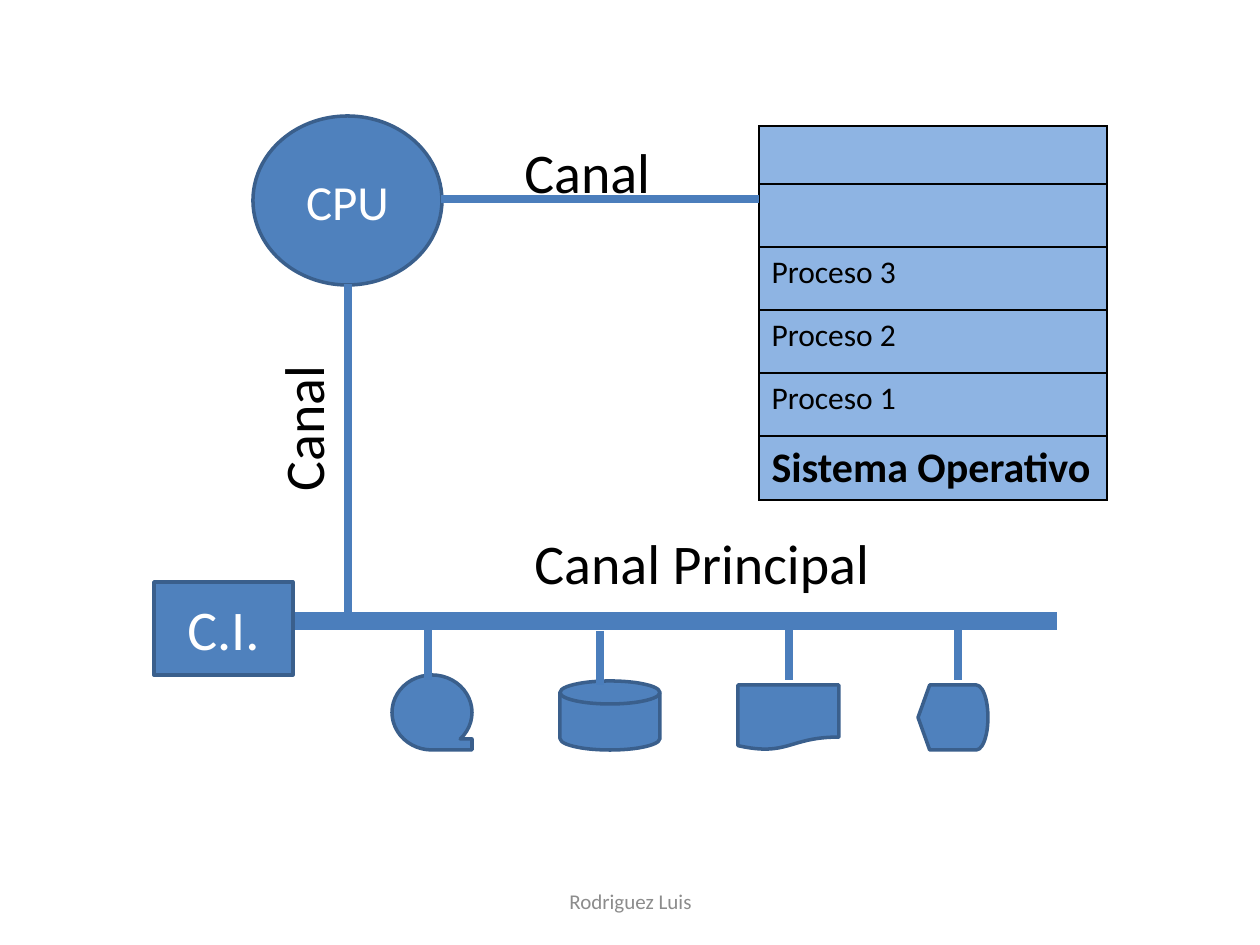
"""Builds the slide of a CPU, its memory and its peripherals joined by channels."""
from dataclasses import dataclass
from typing import NamedTuple

from lxml import etree
from pptx import Presentation
from pptx import util as u
from pptx.dml.color import RGBColor
from pptx.enum import shapes, text
from pptx.oxml.ns import qn

SCALE = u.Inches(1) / 126


@dataclass(frozen=True)
class Theme:
    font: str = "Calibri"
    node: str = "4F81BD"
    outline: str = "3A5F8C"
    channel: str = "4B7EBC"
    memory: str = "8EB4E3"
    ink: str = "000000"
    light: str = "FFFFFF"
    muted: str = "8C8C8C"
    label: int = 32
    cpu: int = 28
    system: int = 24
    process: int = 18
    footer: int = 12
    outline_width: int = 2
    link_width: int = 5
    bus_width: int = 10


class Box(NamedTuple):
    left: int
    top: int
    width: int
    height: int


@dataclass(frozen=True)
class Label:
    words: str
    box: Box
    rotation: int = 0


@dataclass(frozen=True)
class Peripheral:
    kind: shapes.MSO_SHAPE
    box: Box
    drop_x: int
    drop_top: int = 626


THEME = Theme()
DROP_HEIGHT = 54
MEMORY_BOX = Box(759, 126, 348, 373)
MEMORY_ROWS = ["", "", "Proceso 3", "Proceso 2", "Proceso 1", "Sistema Operativo"]
FIRST_ROW_HEIGHT = 58
ROW_HEIGHT = 63
LABELS = [
    Label("Canal", Box(512, 131, 179, 81)),
    Label("Canal", Box(213, 374, 179, 81), 270),
    Label("Canal Principal", Box(522, 522, 367, 81)),
]
PERIPHERALS = [
    Peripheral(shapes.MSO_SHAPE.FLOWCHART_SEQUENTIAL_ACCESS_STORAGE, Box(392, 675, 80, 75), 428),
    Peripheral(shapes.MSO_SHAPE.FLOWCHART_MAGNETIC_DISK, Box(560, 681, 100, 69), 600, 631),
    Peripheral(shapes.MSO_SHAPE.FLOWCHART_DOCUMENT, Box(738, 685, 101, 65), 789),
    Peripheral(shapes.MSO_SHAPE.FLOWCHART_DISPLAY, Box(918, 685, 70, 65), 958),
]


def px(length: int) -> u.Emu:
    """Turns pixels into EMU."""
    return u.Emu(round(length * SCALE))


def emu(box: Box) -> list[u.Emu]:
    """Turns a box into EMU lengths."""
    return [px(length) for length in box]


def write(frame, words: str, size: int, color: str, bold: bool = False, align=None) -> None:
    """Writes one formatted paragraph."""
    paragraph = frame.paragraphs[0]
    paragraph.text = words
    paragraph.alignment = align
    font = paragraph.font
    font.name, font.size, font.bold = THEME.font, u.Pt(size), bold
    font.color.rgb = RGBColor.from_string(color)


def add_node(slide, kind: shapes.MSO_SHAPE, box: Box, words: str = "", size: int = THEME.label) -> None:
    """Draws a device shape with an optional name."""
    node = slide.shapes.add_shape(kind, *emu(box))
    node.shadow.inherit = False
    node.fill.solid()
    node.fill.fore_color.rgb = RGBColor.from_string(THEME.node)
    node.line.color.rgb = RGBColor.from_string(THEME.outline)
    node.line.width = u.Pt(THEME.outline_width)
    if words:
        node.text_frame.vertical_anchor = text.MSO_ANCHOR.MIDDLE
        write(node.text_frame, words, size, THEME.light, align=text.PP_ALIGN.CENTER)


def add_channel(slide, x1: int, y1: int, x2: int, y2: int, width: int = THEME.link_width) -> None:
    """Draws a straight channel between two points."""
    channel = slide.shapes.add_connector(
        shapes.MSO_CONNECTOR.STRAIGHT, px(x1), px(y1), px(x2), px(y2))
    channel.line.color.rgb = RGBColor.from_string(THEME.channel)
    channel.line.width = u.Pt(width)
    etree.SubElement(channel.element.spPr, qn("a:effectLst"))


def add_text(slide, label: Label, size: int, color: str, align=None, anchor=text.MSO_ANCHOR.TOP) -> None:
    """Draws a free text label."""
    holder = slide.shapes.add_textbox(*emu(label.box))
    holder.rotation = label.rotation
    holder.text_frame.word_wrap = True
    holder.text_frame.vertical_anchor = anchor
    write(holder.text_frame, label.words, size, color, align=align)


def add_borders(cell) -> None:
    """Gives a cell a thin border on every side."""
    properties = cell._tc.get_or_add_tcPr()
    for side in ("a:lnL", "a:lnR", "a:lnT", "a:lnB"):
        border = etree.SubElement(properties, qn(side), w=str(u.Pt(1)))
        fill = etree.SubElement(border, qn("a:solidFill"))
        etree.SubElement(fill, qn("a:srgbClr"), val=THEME.ink)


def add_memory(slide) -> None:
    """Draws the memory table with the system in its last row."""
    count = len(MEMORY_ROWS)
    memory = slide.shapes.add_table(count, 1, *emu(MEMORY_BOX)).table
    memory.first_row = memory.horz_banding = False
    for index, words in enumerate(MEMORY_ROWS):
        memory.rows[index].height = px(ROW_HEIGHT if index else FIRST_ROW_HEIGHT)
        cell = memory.cell(index, 0)
        is_system = index == count - 1
        add_borders(cell)
        cell.fill.solid()
        cell.fill.fore_color.rgb = RGBColor.from_string(THEME.memory)
        size = THEME.system if is_system else THEME.process
        write(cell.text_frame, words, size, THEME.ink, is_system)


def main() -> None:
    """Builds and saves the slide."""
    deck = Presentation()
    deck.slide_width, deck.slide_height = px(1260), px(945)
    slide = deck.slides.add_slide(deck.slide_layouts[6])

    add_node(slide, shapes.MSO_SHAPE.OVAL, Box(253, 116, 189, 169), "CPU", THEME.cpu)
    add_memory(slide)
    add_channel(slide, 348, 284, 348, 626)
    add_channel(slide, 1057, 621, 292, 621, THEME.bus_width)
    add_channel(slide, 441, 199, 759, 199)
    add_node(slide, shapes.MSO_SHAPE.RECTANGLE, Box(154, 582, 139, 93), "C.I.")
    for device in PERIPHERALS:
        add_node(slide, device.kind, device.box)
        add_channel(slide, device.drop_x, device.drop_top,
                    device.drop_x, device.drop_top + DROP_HEIGHT)
    for label in LABELS:
        add_text(slide, label, THEME.label, THEME.ink)
    add_text(slide, Label("Rodriguez Luis", Box(431, 876, 399, 50)), THEME.footer,
             THEME.muted, text.PP_ALIGN.CENTER, text.MSO_ANCHOR.MIDDLE)
    deck.save("out.pptx")


if __name__ == "__main__":
    main()
